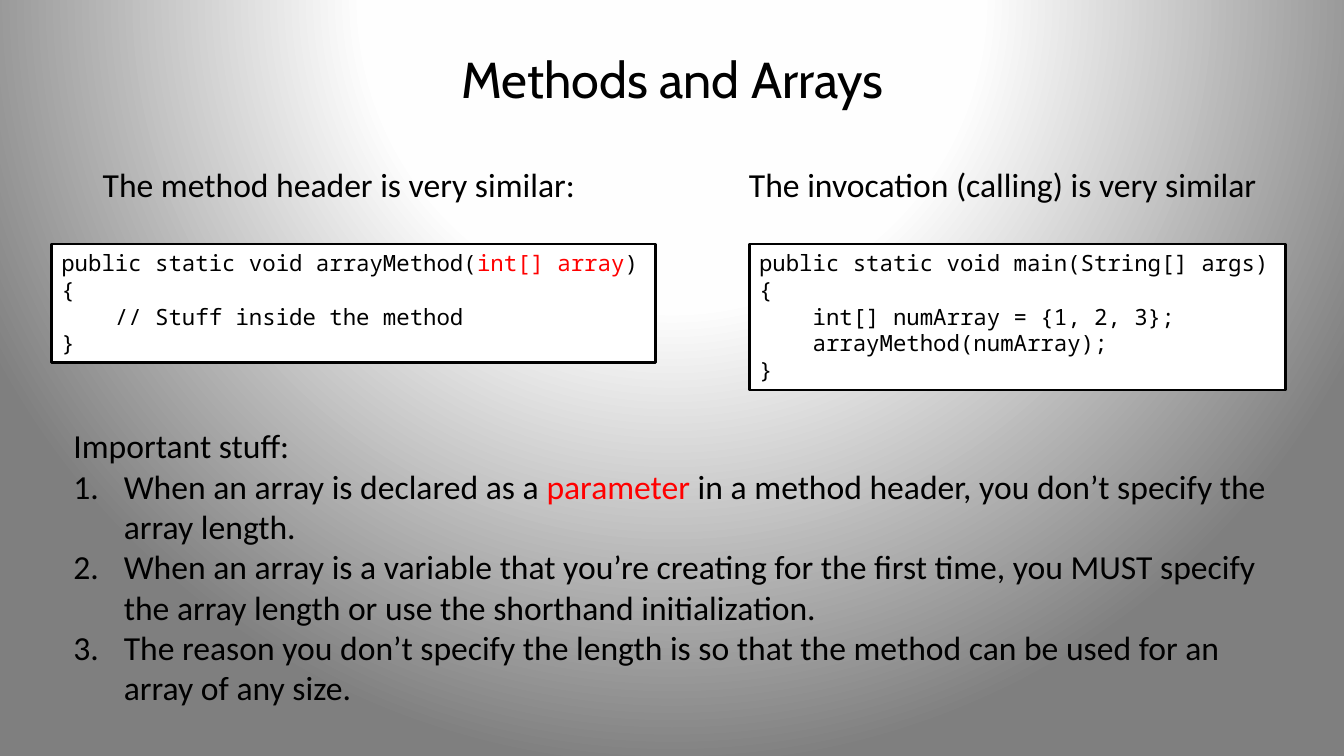
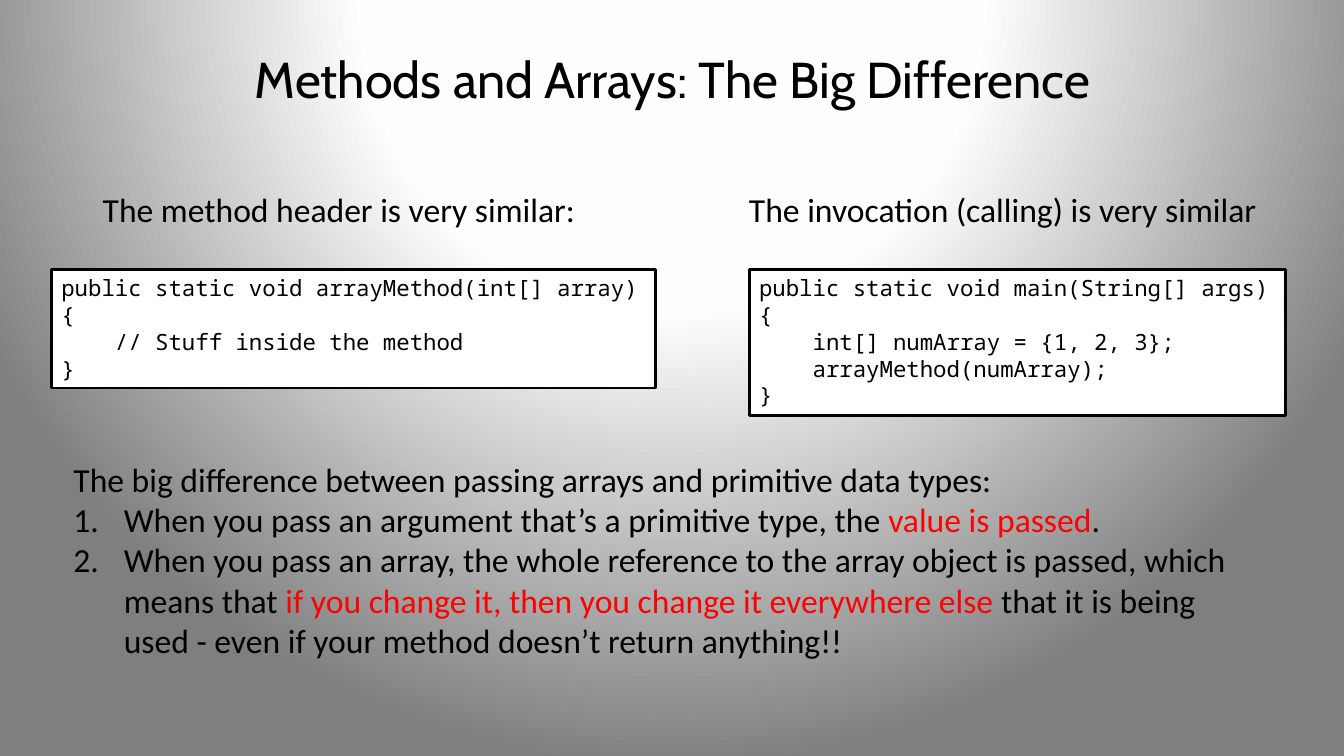
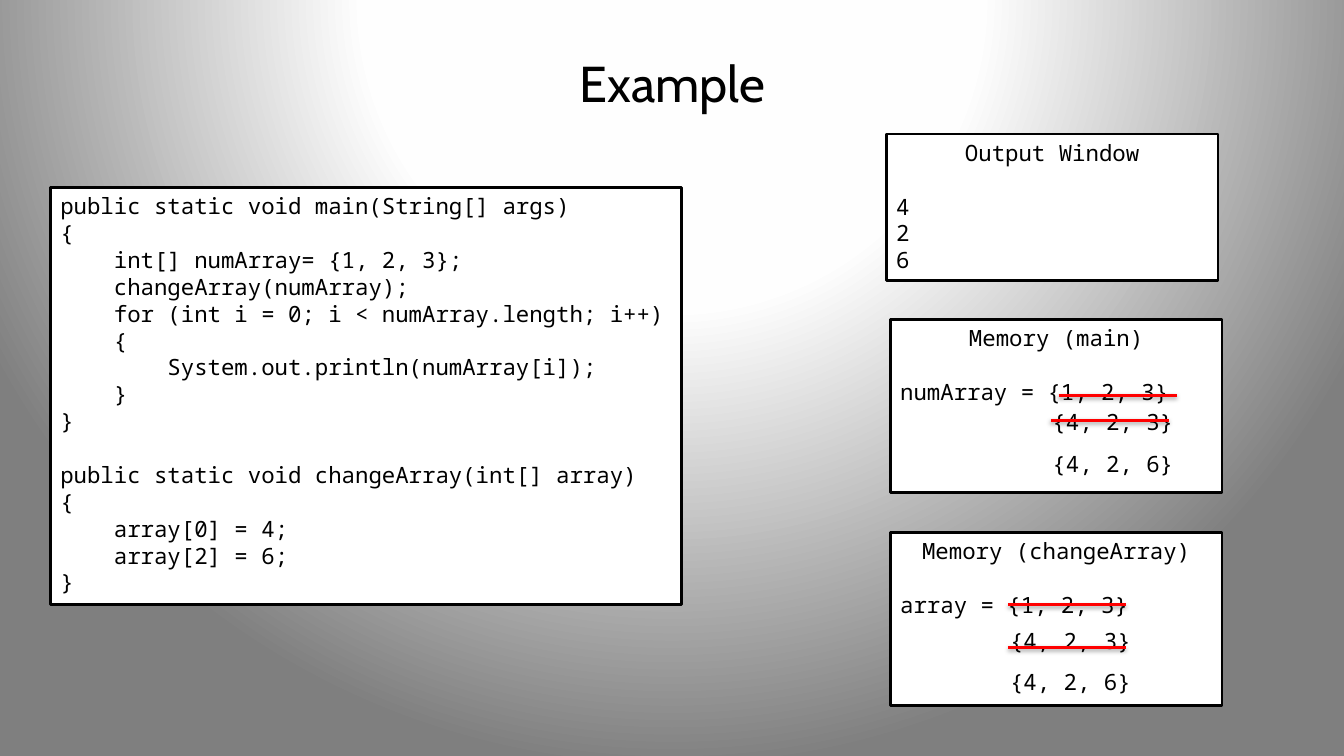
from dataclasses import dataclass
from typing import NamedTuple

from pptx import Presentation
from pptx.dml.color import RGBColor
from pptx.enum.shapes import MSO_CONNECTOR, MSO_SHAPE
from pptx.enum.text import MSO_ANCHOR, PP_ALIGN
from pptx.oxml import parse_xml
from pptx.oxml.ns import nsdecls, qn
from pptx.presentation import Presentation as Deck
from pptx.slide import Slide
from pptx.util import Inches, Pt


class Style(NamedTuple):
    font: str
    size: float


@dataclass(frozen=True)
class Theme:
    ink: str = "000000"
    accent: str = "FF0000"
    panel: str = "FFFFFF"
    backdrop: tuple[tuple[int, str], ...] = ((0, "FFFFFF"), (40, "FEFEFE"), (100, "7F7F7F"))
    title: Style = Style("Cabin", 36)
    body: Style = Style("Calibri", 24)
    code: Style = Style("Noto Sans Mono", 16)
    code_gap: float = 19.2
    line_width: float = 2


THEME = Theme()


class Box(NamedTuple):
    left: float
    top: float
    width: float
    height: float


class Strike(NamedTuple):
    left: float
    top: float
    length: float = 1.17


@dataclass(frozen=True)
class Line:
    text: str
    align: PP_ALIGN = PP_ALIGN.LEFT
    gap_before: float = 0
    numbered: bool = False


METHOD_HEADER = """public static void arrayMethod({parameter})
{{
    // Stuff inside the method
}}"""

INVOCATION = """public static void main(String[] args)
{
    int[] numArray = {1, 2, 3};
    arrayMethod(numArray);
}"""

EXAMPLE = """public static void main(String[] args)
{
    int[] numArray= {1, 2, 3};
    changeArray(numArray);
    for (int i = 0; i < numArray.length; i++)
    {
        System.out.println(numArray[i]);
    }
}

public static void changeArray(int[] array)
{
    array[0] = 4;
    array[2] = 6;
}"""


def listing(code: str) -> list[Line]:
    lines: list[Line] = []
    gap = 0.0
    for text in code.splitlines():
        if text:
            lines.append(Line(text, gap_before=gap))
            gap = 0.0
        else:
            gap = THEME.code_gap
    return lines


def numbered(heading: str, *items: str) -> list[Line]:
    return [Line(heading), *(Line(item, numbered=True) for item in items)]


def add_text(
    slide: Slide,
    box: Box,
    lines: list[Line],
    *,
    style: Style,
    panel: bool = False,
    anchor: MSO_ANCHOR = MSO_ANCHOR.TOP,
) -> None:
    place = [Inches(length) for length in box]
    if panel:
        shape = slide.shapes.add_shape(MSO_SHAPE.RECTANGLE, *place)
        shape.shadow.inherit = False
        shape.fill.solid()
        shape.fill.fore_color.rgb = RGBColor.from_string(THEME.panel)
        shape.line.color.rgb = RGBColor.from_string(THEME.ink)
        shape.line.width = Pt(THEME.line_width)
    else:
        shape = slide.shapes.add_textbox(*place)
    frame = shape.text_frame
    frame.word_wrap = True
    frame.vertical_anchor = anchor
    for index, line in enumerate(lines):
        paragraph = frame.add_paragraph() if index else frame.paragraphs[0]
        paragraph.alignment = line.align
        if line.gap_before:
            paragraph.space_before = Pt(line.gap_before)
        if line.numbered:
            properties = paragraph._p.get_or_add_pPr()
            properties.set("marL", str(Inches(0.5)))
            properties.set("indent", str(Inches(-0.5)))
            properties.append(
                parse_xml(f'<a:buAutoNum {nsdecls("a")} type="arabicPeriod"/>')
            )
        for part, text in enumerate(line.text.split("|")):
            run = paragraph.add_run()
            run.text = text
            run.font.name = style.font
            run.font.size = Pt(style.size)
            color = THEME.accent if part % 2 else THEME.ink
            run.font.color.rgb = RGBColor.from_string(color)


def add_strike(slide: Slide, strike: Strike) -> None:
    top = Inches(strike.top)
    connector = slide.shapes.add_connector(
        MSO_CONNECTOR.STRAIGHT,
        Inches(strike.left), top, Inches(strike.left + strike.length), top,
    )
    connector.line.color.rgb = RGBColor.from_string(THEME.accent)
    connector.line.width = Pt(THEME.line_width)
    connector._element.spPr.append(parse_xml(
        f'<a:effectLst {nsdecls("a")}>'
        f'<a:outerShdw blurRad="{Pt(3.1)}" dist="{Pt(1.6)}" dir="5400000" rotWithShape="0">'
        f'<a:srgbClr val="{THEME.ink}"><a:alpha val="38000"/></a:srgbClr>'
        '</a:outerShdw></a:effectLst>'
    ))


def set_backdrop(presentation: Deck) -> None:
    stops = "".join(
        f'<a:gs pos="{position * 1000}"><a:srgbClr val="{color}"/></a:gs>'
        for position, color in THEME.backdrop
    )
    common = presentation.slide_master.element.find(qn("p:cSld"))
    previous = common.find(qn("p:bg"))
    if previous is not None:
        common.remove(previous)
    common.insert(0, parse_xml(
        f'<p:bg {nsdecls("p", "a")}><p:bgPr><a:gradFill rotWithShape="1">'
        f'<a:gsLst>{stops}</a:gsLst><a:path path="circle">'
        '<a:fillToRect l="50000" t="-80000" r="50000" b="180000"/>'
        '</a:path></a:gradFill><a:effectLst/></p:bgPr></p:bg>'
    ))


def add_slide(presentation: Deck, title: str, title_height: float = 0.95) -> Slide:
    slide = presentation.slides.add_slide(presentation.slide_layouts[6])
    add_text(
        slide, Box(0.67, 0.3, 12, title_height), [Line(title, PP_ALIGN.CENTER)],
        style=THEME.title, anchor=MSO_ANCHOR.MIDDLE,
    )
    return slide


def add_comparison(
    presentation: Deck, title: str, top: float, parameter: str, notes_box: Box, notes: list[Line]
) -> None:
    slide = add_slide(presentation, title)
    code_top = top + 0.84
    columns = (
        ("The method header is very similar:", Box(0.92, top, 4.94, 0.5),
         METHOD_HEADER.format(parameter=parameter), Box(0.51, code_top, 5.99, 1.18)),
        ("The invocation (calling) is very similar", Box(7.33, top, 5.3, 0.5),
         INVOCATION, Box(7.43, code_top, 5.32, 1.45)),
    )
    for heading, heading_box, code, code_box in columns:
        add_text(slide, heading_box, [Line(heading)], style=THEME.body)
        add_text(slide, code_box, listing(code), style=THEME.code, panel=True)
    add_text(slide, notes_box, notes, style=THEME.body)


def add_example(presentation: Deck) -> None:
    slide = add_slide(presentation, "Example", title_height=1.03)
    add_text(slide, Box(0.5, 1.86, 6.26, 4.14), listing(EXAMPLE), style=THEME.code, panel=True)
    windows = (
        ("Output Window", "\n4\n2\n6", Box(8.79, 1.33, 3.29, 1.45)),
        ("Memory (main)", "\nnumArray = {1, 2, 3}", Box(8.83, 3.17, 3.29, 1.72)),
        ("Memory (changeArray)", "\narray = {1, 2, 3}", Box(8.83, 5.28, 3.29, 1.72)),
    )
    for heading, content, box in windows:
        lines = [Line(heading, PP_ALIGN.CENTER), *listing(content)]
        add_text(slide, box, lines, style=THEME.code, panel=True)
    values = (
        ("{4, 2, 3}", 10.34, 4), ("{4, 2, 6}", 10.34, 4.42),
        ("{4, 2, 3}", 9.92, 6.17), ("{4, 2, 6}", 9.92, 6.58),
    )
    for value, left, top in values:
        add_text(slide, Box(left, top, 1.41, 0.37), [Line(value)], style=THEME.code)
    for strike in (Strike(10.5, 3.92), Strike(10.42, 4.17), Strike(10, 6), Strike(10, 6.42)):
        add_strike(slide, strike)


def main() -> None:
    presentation = Presentation()
    presentation.slide_width = Inches(13.33)
    presentation.slide_height = Inches(7.5)
    set_backdrop(presentation)
    add_comparison(
        presentation, "Methods and Arrays", 1.58, "|int[] array|", Box(0.63, 4.17, 12.19, 2.93),
        numbered(
            "Important stuff:",
            "When an array is declared as a |parameter| in a method header, "
            "you don’t specify the array length.",
            "When an array is a variable that you’re creating for the first time, "
            "you MUST specify the array length or use the shorthand initialization.",
            "The reason you don’t specify the length is so that the method can be used "
            "for an array of any size.",
        ),
    )
    add_comparison(
        presentation, "Methods and Arrays: The Big Difference", 1.83, "int[] array",
        Box(0.63, 4.5, 11.8, 2.12),
        numbered(
            "The big difference between passing arrays and primitive data types:",
            "When you pass an argument that’s a primitive type, the |value is passed|.",
            "When you pass an array, the whole reference to the array object is passed, "
            "which means that |if you change it, then you change it everywhere else| "
            "that it is being used - even if your method doesn’t return anything!!",
        ),
    )
    add_example(presentation)
    presentation.save("out.pptx")


if __name__ == "__main__":
    main()
